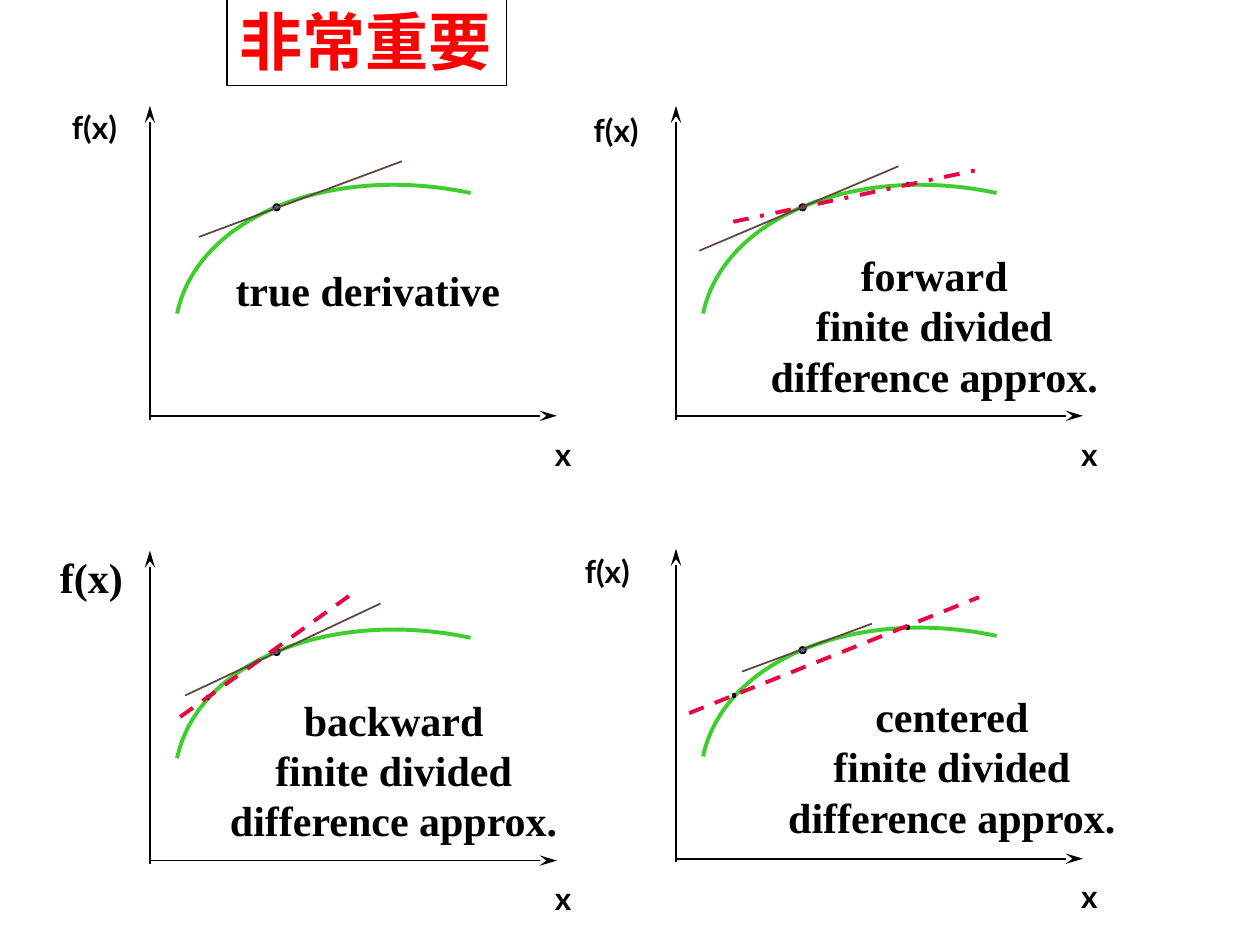
"""Draw four derivative approximations as graphs on a 100 by 75 grid."""
from lxml import etree
from pptx import Presentation
from pptx.dml.color import RGBColor
from pptx.enum import dml, shapes, text
from pptx.oxml import ns
from pptx.util import Inches, Pt

THEME = {
    "ink": RGBColor.from_string("000000"),
    "paper": RGBColor.from_string("FFFFFF"),
    "alert": RGBColor.from_string("FF0000"),
    "curve": RGBColor.from_string("3FCE30"),
    "dot": RGBColor.from_string("4472C4"),
    "tangent": RGBColor.from_string("60453C"),
    "secant": RGBColor.from_string("E70742"),
    "sans": "Lato", "serif": "Times New Roman", "title": "Arial",
    "small": 18, "large": 24, "huge": 36, "thin": 1, "thick": 2.25,
}
DASH, DASH_DOT = dml.MSO_LINE.DASH, dml.MSO_LINE.DASH_DOT

prs = Presentation()
prs.slide_width, prs.slide_height = Inches(10), Inches(7.5)
s = prs.slides.add_slide(prs.slide_layouts[6])
CELL = prs.slide_width / 100


def write(words, box, font="serif", size="large", color="ink",
          align=text.PP_ALIGN.CENTER, fill=None):
    place = [round(v * CELL) for v in box]
    if fill:
        sp = s.shapes.add_shape(shapes.MSO_SHAPE.RECTANGLE, *place)
        sp.shadow.inherit = False
        sp.fill.solid()
        sp.fill.fore_color.rgb = THEME[fill]
        sp.line.color.rgb = THEME["ink"]
        sp.line.width = Pt(THEME["thin"])
    else:
        sp = s.shapes.add_textbox(*place)
    tf = sp.text_frame
    tf.word_wrap = False
    tf.auto_size = text.MSO_AUTO_SIZE.SHAPE_TO_FIT_TEXT
    tf.vertical_anchor = text.MSO_ANCHOR.TOP
    for i, line in enumerate(words.split("\n")):
        p = tf.add_paragraph() if i else tf.paragraphs[0]
        p.alignment = align
        r = p.add_run()
        r.text = line
        r.font.name, r.font.size = THEME[font], Pt(THEME[size])
        r.font.bold = True
        r.font.color.rgb = THEME[color]


def stroke(ends, color="ink", weight="thin", dash=None, arrow=None):
    sp = s.shapes.add_connector(shapes.MSO_CONNECTOR.STRAIGHT,
                                *(round(v * CELL) for v in ends))
    sp.line.color.rgb = THEME[color]
    sp.line.width = Pt(THEME[weight])
    if dash:
        sp.line.dash_style = dash
    if arrow:
        etree.SubElement(sp.line._get_or_add_ln(), ns.qn(arrow),
                         type="stealth", w="med", len="lg")
    etree.SubElement(sp._element.spPr, ns.qn("a:effectLst"))


APPROX = "\nfinite divided\ndifference approx."
LABEL = {"font": "sans", "size": "small"}
TANGENT = {"color": "tangent"}
SECANT = {"color": "secant", "weight": "thick", "dash": DASH}
ARC_W, ARC_H, ARC_TILT, ROUND = 20.8, 14.2, 192, 0.55
POINT = (9.8, 7.8, 0.5, 0.5)
AHEAD = (18.3, 6.1, 0.2, 0.3)
BEHIND = (4.5, 11.5, 0.2, 0.3)

panels = [
    {"origin": (11.9, 8.4), "f": (4.1, 8.1, 6.8, 4), "f_style": LABEL,
     "caption": ("true derivative", (17.6, 20.5, 23.2, 5.1)),
     "dots": [POINT], "lines": [((15.8, 18.8, 31.9, 12.8), TANGENT)]},
    {"origin": (53.65, 8.4), "f": (45.5, 8.3, 6.8, 4), "f_style": LABEL,
     "caption": ("forward" + APPROX, (60, 19.3, 28.3, 13.1)),
     "dots": [POINT, AHEAD],
     "lines": [((58.2, 17.6, 78, 13.4), {**SECANT, "dash": DASH_DOT}),
               ((55.5, 19.9, 71.3, 13.2), TANGENT)]},
    {"origin": (11.9, 43.7), "f": (3.7, 43.3, 7.1, 5.1), "f_style": {},
     "caption": ("backward" + APPROX, (17.1, 54.6, 28.3, 13.1)),
     "dots": [POINT, BEHIND],
     "lines": [((14.3, 56.9, 27.7, 47.3), SECANT),
               ((14.7, 55.2, 30.2, 47.9), TANGENT)]},
    {"origin": (53.65, 43.55), "f": (44.8, 43.3, 6.8, 4), "f_style": LABEL,
     "caption": ("centered" + APPROX, (61.4, 54.3, 28.3, 13.1)),
     "dots": [POINT, AHEAD, BEHIND],
     "lines": [((58.9, 53.3, 69.2, 49.5), TANGENT),
               ((54.7, 56.6, 77.7, 47.4), SECANT)]},
]

for panel in panels:
    x, y = panel["origin"]
    stroke((x, y, x, y + 24.9), arrow="a:headEnd")
    stroke((x + 0.1, y + 24.6, x + 32.3, y + 24.6), arrow="a:tailEnd")
    write("f(x)", panel["f"], **panel["f_style"])
    write("x", (x + 31, y + 25.6, 3.6, 4), **LABEL)

    left, top = x + 3.4, y + 4.6
    corners = [(round((left + ARC_W * a) * CELL), round((top + ARC_H * b) * CELL))
               for a, b in ((1, 0), (1, ROUND), (ROUND, 1), (0, 1))]
    builder = s.shapes.build_freeform(*corners[0])
    builder.add_line_segments(corners[1:], close=False)
    sp = builder.convert_to_shape()
    segments = sp._element.findall(".//" + ns.qn("a:lnTo"))
    bezier = etree.SubElement(segments[0].getparent(), ns.qn("a:cubicBezTo"))
    for segment in segments:
        bezier.append(segment[0])
        segment.getparent().remove(segment)
    sp.rotation = ARC_TILT
    sp.shadow.inherit = False
    sp.fill.background()
    sp.line.color.rgb = THEME["curve"]
    sp.line.width = Pt(THEME["thick"])

    for dx, dy, w, h in panel["dots"]:
        sp = s.shapes.add_shape(shapes.MSO_SHAPE.OVAL,
                                *(round(v * CELL) for v in (x + dx, y + dy, w, h)))
        sp.shadow.inherit = False
        sp.fill.solid()
        sp.fill.fore_color.rgb = THEME["dot"]
        sp.line.color.rgb = THEME["ink"]
        sp.line.width = Pt(THEME["thin"])

    for ends, style in panel["lines"]:
        stroke(ends, **style)
    write(*panel["caption"])

write("非常重要", (18, -0.3, 22.2, 7.1), font="title", size="huge",
      color="alert", align=text.PP_ALIGN.LEFT, fill="paper")

prs.save("out.pptx")
